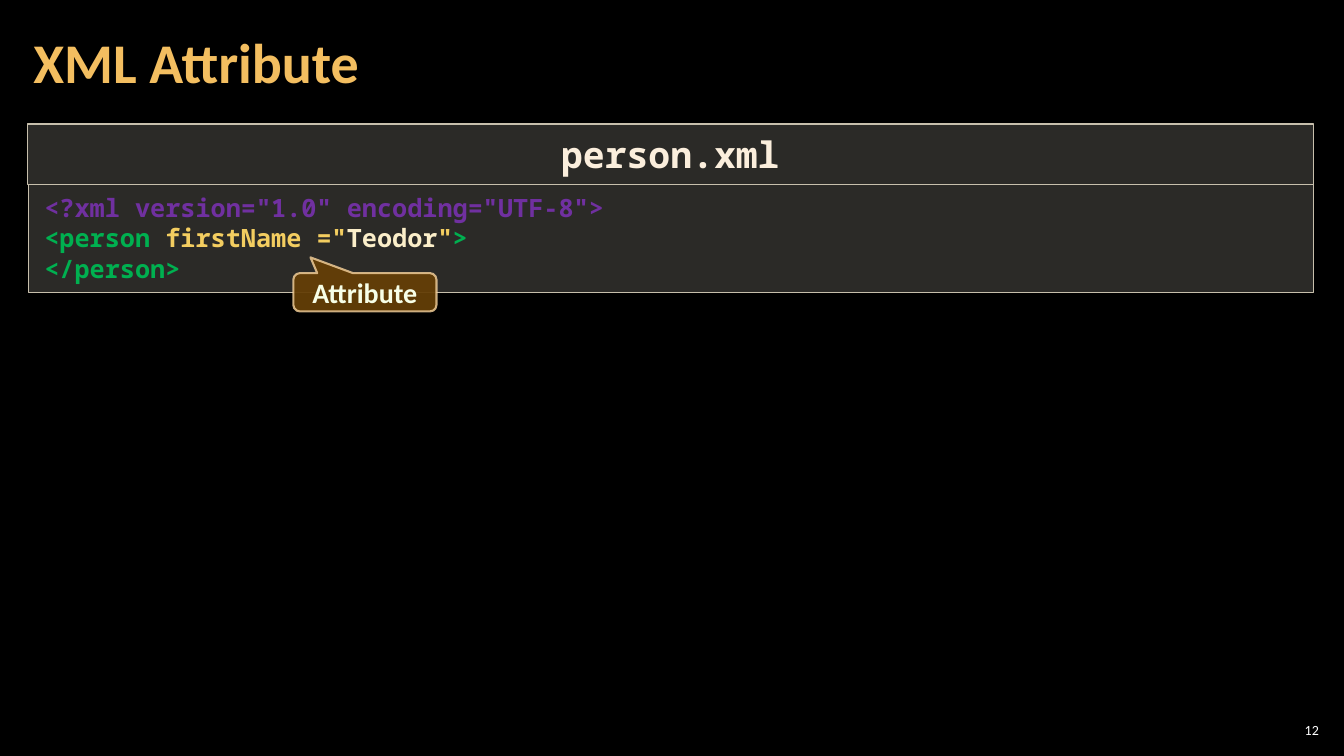
from dataclasses import dataclass

import lxml.etree
import pptx
import pptx.dml.color
import pptx.enum.shapes
import pptx.enum.text
import pptx.oxml.ns
import pptx.util

SHAPES = pptx.enum.shapes.MSO_SHAPE
ALIGN = pptx.enum.text.PP_ALIGN
ANCHOR = pptx.enum.text.MSO_ANCHOR

WIDTH, HEIGHT = 13.33, 7.5
SANS, MONO = "Calibri", "Noto Sans Mono"
COLOURS = {
    "background": "000000",
    "title": "F3BE60",
    "number": "FFFFFF",
    "panel": "D9D5C7",
    "panel line": "C7BFAC",
    "file name": "FBEEDC",
    "declaration": "7030A0",
    "tag": "00B050",
    "attribute": "F3CD60",
    "value": "FBEEC9",
    "callout": "643F07",
    "callout line": "F8D49E",
    "callout text": "F7FFE7",
}


@dataclass(frozen=True)
class Look:
    geometry: int
    fill: str
    fill_opacity: int
    line: str
    line_opacity: int
    line_width: float
    adjustments: tuple[float, ...] = ()


@dataclass(frozen=True)
class Block:
    area: tuple[float, float, float, float]
    lines: tuple[tuple[tuple[str, str], ...], ...]
    size: int
    font: str = SANS
    bold: bool = True
    align: int = ALIGN.LEFT
    anchor: int = ANCHOR.MIDDLE
    insets: tuple[float, float] = (0.1, 0.05)
    spacing: float | pptx.util.Length = 1.0
    look: Look | None = None


PANEL = Look(SHAPES.RECTANGLE, "panel", 20, "panel line", 100, 1)
CALLOUT = Look(SHAPES.ROUNDED_RECTANGULAR_CALLOUT, "callout", 95,
               "callout line", 80, 1.5, (-0.38, -0.91, 0.17))

BLOCKS = (
    Block((94.9, 95.2, 3.53, 2.8), ((("12", "number"),),), 10, bold=False,
          align=ALIGN.RIGHT, insets=(0.04, 0.04)),
    Block((1.58, 0.53, 78.54, 16.13), ((("XML Attribute", "title"),),), 40,
          insets=(0.12, 0.04), spacing=0.9),
    Block((2.1, 24.4, 95.65, 14.27), (
        (('<?xml version="1.0" encoding="UTF-8">', "declaration"),),
        (("<person ", "tag"), ('firstName ="', "attribute"),
         ("Teodor", "value"), ('"', "attribute"), (">", "tag")),
        (("</person>", "tag"),),
    ), 18, MONO, anchor=ANCHOR.TOP, insets=(0.16, 0.08),
        spacing=pptx.util.Pt(21.6), look=PANEL),
    Block((2.03, 16.4, 95.72, 8), ((("person.xml", "file name"),),), 26, MONO,
          align=ALIGN.CENTER, anchor=ANCHOR.TOP, insets=(0.16, 0.08),
          spacing=pptx.util.Pt(31.2), look=PANEL),
    Block((21.83, 36.13, 10.65, 5.07), ((("Attribute", "callout text"),),), 20,
          align=ALIGN.CENTER, look=CALLOUT),
)


def colour(name: str) -> pptx.dml.color.RGBColor:
    return pptx.dml.color.RGBColor.from_string(COLOURS[name])


def paint(fill: pptx.dml.fill.FillFormat, name: str) -> None:
    fill.solid()
    fill.fore_color.rgb = colour(name)


def set_opacity(properties: lxml.etree.ElementBase, percent: int) -> None:
    tone = properties.find(
        pptx.oxml.ns.qn("a:solidFill") + "/" + pptx.oxml.ns.qn("a:srgbClr"))
    alpha = lxml.etree.SubElement(tone, pptx.oxml.ns.qn("a:alpha"))
    alpha.set("val", str(percent * 1000))


def dress(shape: pptx.shapes.autoshape.Shape, look: Look) -> None:
    shape.shadow.inherit = False
    for position, value in enumerate(look.adjustments):
        shape.adjustments[position] = value
    paint(shape.fill, look.fill)
    paint(shape.line.fill, look.line)
    shape.line.width = pptx.util.Pt(look.line_width)
    properties = shape.element.spPr
    set_opacity(properties, look.fill_opacity)
    set_opacity(properties.find(pptx.oxml.ns.qn("a:ln")), look.line_opacity)


def write(frame: pptx.text.text.TextFrame, block: Block) -> None:
    frame.word_wrap = True
    frame.vertical_anchor = block.anchor
    across, down = map(pptx.util.Inches, block.insets)
    frame.margin_left = frame.margin_right = across
    frame.margin_top = frame.margin_bottom = down
    for position, line in enumerate(block.lines):
        paragraph = frame.add_paragraph() if position else frame.paragraphs[0]
        paragraph.alignment = block.align
        paragraph.line_spacing = block.spacing
        for words, tone in line:
            run = paragraph.add_run()
            run.text = words
            run.font.name = block.font
            run.font.size = pptx.util.Pt(block.size)
            run.font.bold = block.bold
            run.font.color.rgb = colour(tone)


def draw(slide: pptx.slide.Slide, block: Block) -> None:
    area = [pptx.util.Inches(share / 100 * extent)
            for share, extent in zip(block.area, (WIDTH, HEIGHT) * 2)]
    if block.look:
        shape = slide.shapes.add_shape(block.look.geometry, *area)
        dress(shape, block.look)
    else:
        shape = slide.shapes.add_textbox(*area)
    write(shape.text_frame, block)


def main() -> None:
    deck = pptx.Presentation()
    deck.slide_width = pptx.util.Inches(WIDTH)
    deck.slide_height = pptx.util.Inches(HEIGHT)
    slide = deck.slides.add_slide(deck.slide_layouts[6])
    paint(slide.background.fill, "background")
    for block in BLOCKS:
        draw(slide, block)
    deck.save("out.pptx")


if __name__ == "__main__":
    main()
